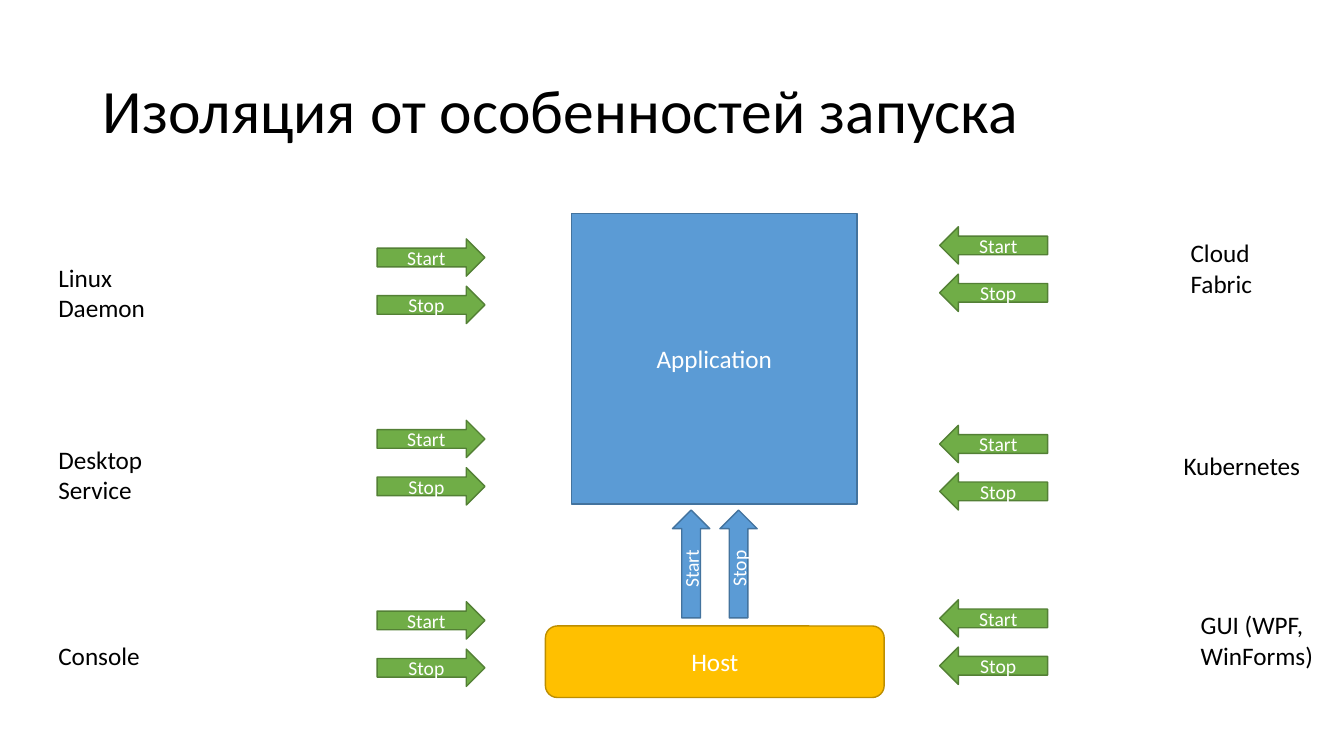
from pptx import Presentation
from pptx.dml.color import RGBColor
from pptx.enum.shapes import MSO_SHAPE
from pptx.enum.text import MSO_ANCHOR, MSO_AUTO_SIZE, PP_ALIGN
from pptx.util import Inches, Pt

# Content
TITLE = "Изоляция от особенностей запуска"
COMMANDS = ["Start", "Stop"]
# Lines of each label with its left, top and width
LABELS = [
    (["Linux", "Daemon"], 0.48, 2.55, 1.07),
    (["Desktop", "Service"], 0.48, 4.36, 1.22),
    (["Console"], 0.48, 6.3, 1.02),
    (["Cloud", "Fabric"], 11.71, 2.31, 0.85),
    (["Kubernetes"], 11.64, 4.42, 1.37),
    (["GUI (WPF,", "WinForms)"], 11.81, 6, 1.33),
]

# Layout in inches
ARROW_WIDTH, ARROW_HEIGHT, ARROW_STEP = 1.07, 0.37, 0.47
LEFT_ARROWS, RIGHT_ARROWS = 3.74, 9.32
LEFT_TOPS = [2.37 + 1.8 * row for row in range(3)]
RIGHT_TOPS = [2.25, 4.22, 5.95]
HOST_ARROWS, HOST_ARROWS_TOP = 6.32, 5.41
LINE_HEIGHT, LABEL_PADDING = 0.305, 0.1

# Style
FONT = "Calibri"
BLACK = RGBColor(0x00, 0x00, 0x00)
WHITE = RGBColor(0xFF, 0xFF, 0xFF)
BLUE, BLUE_EDGE = RGBColor(0x5B, 0x9B, 0xD5), RGBColor(0x43, 0x73, 0x9E)
GREEN, GREEN_EDGE = RGBColor(0x70, 0xAD, 0x47), RGBColor(0x53, 0x80, 0x35)
GOLD, GOLD_EDGE = RGBColor(0xFF, 0xC0, 0x00), RGBColor(0xBD, 0x8E, 0x00)


def write(text_frame, lines, size, color, alignment):
    text_frame.text = "\n".join(lines)
    for paragraph in text_frame.paragraphs:
        paragraph.alignment = alignment
        paragraph.font.name = FONT
        paragraph.font.size = Pt(size)
        paragraph.font.color.rgb = color


def add_block(slide, kind, box, text, size, fill, edge):
    shape = slide.shapes.add_shape(kind, *map(Inches, box))
    shape.shadow.inherit = False
    shape.fill.solid()
    shape.fill.fore_color.rgb = fill
    shape.line.color.rgb = edge
    shape.line.width = Pt(1)
    shape.text_frame.vertical_anchor = MSO_ANCHOR.MIDDLE
    write(shape.text_frame, [text], size, WHITE, PP_ALIGN.CENTER)
    return shape


def add_title(slide):
    title = slide.shapes.title
    title.left, title.top = Inches(0.92), Inches(0.4)
    title.width, title.height = Inches(11.5), Inches(1.45)
    title.text_frame.vertical_anchor = MSO_ANCHOR.MIDDLE
    write(title.text_frame, [TITLE], 44, BLACK, PP_ALIGN.LEFT)
    title.text_frame.paragraphs[0].line_spacing = 0.9


def add_label(slide, lines, left, top, width):
    height = LABEL_PADDING + LINE_HEIGHT * len(lines)
    label = slide.shapes.add_textbox(*map(Inches, (left, top, width, height)))
    label.text_frame.word_wrap = False
    label.text_frame.auto_size = MSO_AUTO_SIZE.SHAPE_TO_FIT_TEXT
    write(label.text_frame, lines, 18, BLACK, PP_ALIGN.LEFT)


def main():
    presentation = Presentation()
    presentation.slide_width = Inches(13.33)
    presentation.slide_height = Inches(7.5)
    slide = presentation.slides.add_slide(presentation.slide_layouts[5])
    add_title(slide)

    # Launch environments
    for label in LABELS:
        add_label(slide, *label)

    # Application and its host
    add_block(slide, MSO_SHAPE.RECTANGLE, (5.67, 2.12, 2.83, 2.88),
              "Application", 18, BLUE, BLUE_EDGE)
    add_block(slide, MSO_SHAPE.ROUNDED_RECTANGLE, (5.41, 6.21, 3.36, 0.71),
              "Host", 18, GOLD, GOLD_EDGE)

    # Start and stop arrows from both sides and from the host
    sides = [(MSO_SHAPE.RIGHT_ARROW, LEFT_ARROWS, LEFT_TOPS),
             (MSO_SHAPE.LEFT_ARROW, RIGHT_ARROWS, RIGHT_TOPS)]
    for index, command in enumerate(COMMANDS):
        offset = index * ARROW_STEP
        for kind, left, tops in sides:
            for top in tops:
                box = (left, top + offset, ARROW_WIDTH, ARROW_HEIGHT)
                add_block(slide, kind, box, command, 14, GREEN, GREEN_EDGE)
        box = (HOST_ARROWS + offset, HOST_ARROWS_TOP, ARROW_WIDTH, ARROW_HEIGHT)
        arrow = add_block(slide, MSO_SHAPE.RIGHT_ARROW, box, command, 14,
                          BLUE, BLUE_EDGE)
        arrow.rotation = 270

    presentation.save("out.pptx")


if __name__ == "__main__":
    main()
